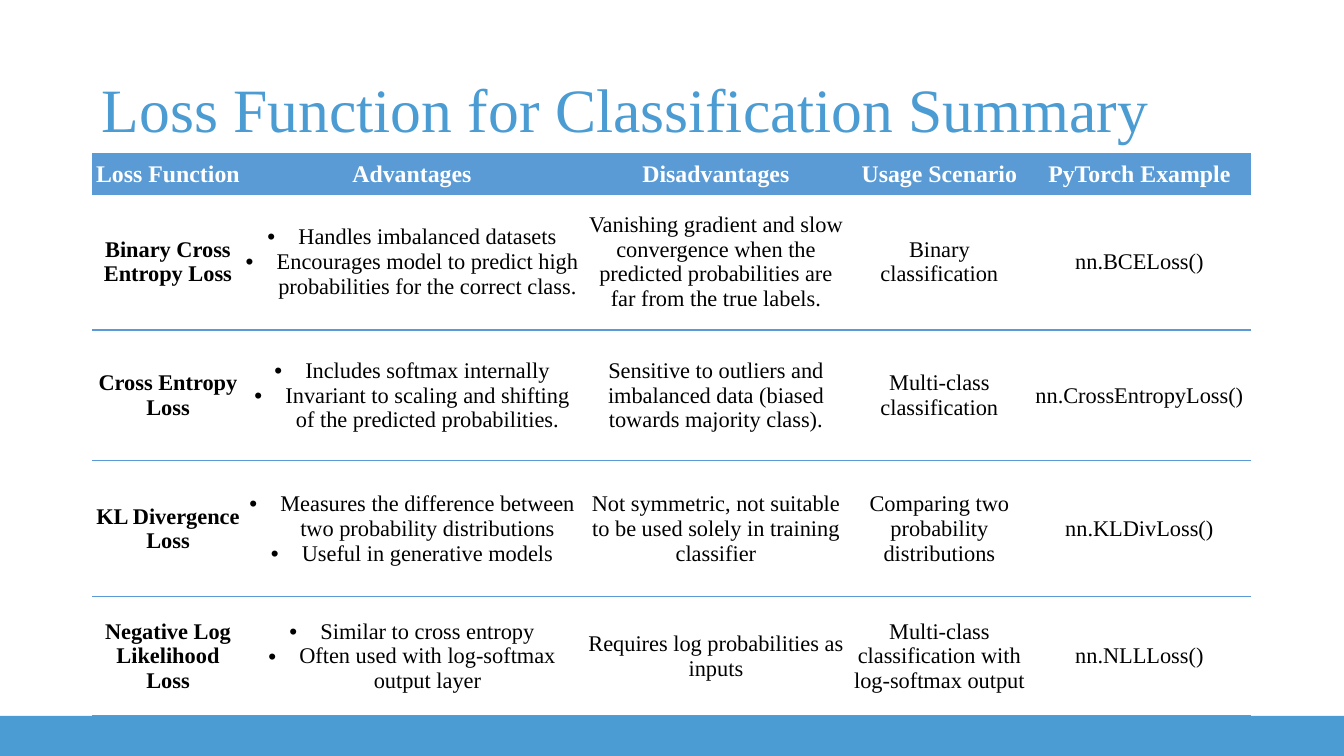
import pptx
import pptx.util
import pptx.dml.color
import pptx.enum.shapes
import pptx.enum.text
import pptx.oxml
import pptx.oxml.ns

SCALE = 914400 / 100.8
FACE = "Times New Roman"
HUES = {"bar": "4B9CD3", "head": "5B9BD5", "text": "000000", "page": "FFFFFF"}
WIDTHS = [152, 341, 266, 181, 219]
HEIGHTS = [40, 136, 131, 136, 119]
# Left, top, right and bottom margins of each column
PADS = [(4, 2, 4, 2), (0, 5, 5, 5)] + [(0, 2, 4, 2)] * 3
SIDES = ("margin_left", "margin_top", "margin_right", "margin_bottom")
HEAD = ["Loss Function", "Advantages", "Disadvantages", "Usage Scenario",
        "PyTorch Example"]
# A list in a cell is shown as bullets
BODY = [
    ["Binary Cross Entropy Loss",
     ["Handles imbalanced datasets",
      "Encourages model to predict high probabilities for the correct class."],
     "Vanishing gradient and slow convergence when the predicted "
     "probabilities are far from the true labels.",
     "Binary classification", "nn.BCELoss()"],
    ["Cross Entropy Loss",
     ["Includes softmax internally",
      "Invariant to scaling and shifting of the predicted probabilities."],
     "Sensitive to outliers and imbalanced data (biased towards majority class).",
     "Multi-class classification", "nn.CrossEntropyLoss()"],
    ["KL Divergence Loss",
     ["Measures the difference between two probability distributions",
      "Useful in generative models"],
     "Not symmetric, not suitable to be used solely in training classifier",
     "Comparing two probability distributions", "nn.KLDivLoss()"],
    ["Negative Log Likelihood Loss",
     ["Similar to cross entropy", "Often used with log-softmax output layer"],
     "Requires log probabilities as inputs",
     "Multi-class classification with log-softmax output", "nn.NLLLoss()"],
]


def px(num):
    return pptx.util.Emu(round(num * SCALE))


def hue(name):
    return pptx.dml.color.RGBColor.from_string(HUES[name])


def style(item, form):
    for key, value in form.items():
        setattr(item, key, value)


def write(par, text, size, tint, bold=False):
    run = par.add_run()
    run.text = text
    style(run.font, {"name": FACE, "size": pptx.util.Pt(size), "bold": bold})
    run.font.color.rgb = hue(tint)


def add_node(parent, xml, index=None):
    node = pptx.oxml.parse_xml(xml.replace(
        " ", f" {pptx.oxml.ns.nsdecls('a')} ", 1))
    parent.insert(len(parent) if index is None else index, node)


def add_bar(slide, box):
    bar = slide.shapes.add_shape(
        pptx.enum.shapes.MSO_SHAPE.RECTANGLE, *map(px, box))
    bar.shadow.inherit = False
    bar.fill.solid()
    bar.fill.fore_color.rgb = hue("bar")
    bar.line.fill.background()


def add_title(slide, box, text):
    frame = slide.shapes.add_textbox(*map(px, box)).text_frame
    style(frame, {"word_wrap": True,
                  "vertical_anchor": pptx.enum.text.MSO_ANCHOR.MIDDLE})
    par = frame.paragraphs[0]
    par.line_spacing = 0.9
    write(par, text, 44, "bar")


def rule_cell(cell):
    # Lines above and below, none at the sides
    props = cell._tc.get_or_add_tcPr()
    line = f'<a:solidFill><a:srgbClr val="{HUES["head"]}"/></a:solidFill>'
    parts = {"L": "<a:noFill/>", "R": "<a:noFill/>", "T": line, "B": line}
    for index, (side, paint) in enumerate(parts.items()):
        add_node(props, f'<a:ln{side} w="12700">{paint}</a:ln{side}>', index)


def fill_cell(cell, value, pads, size, tint, back, bold):
    style(cell, dict(zip(SIDES, map(px, pads))))
    cell.vertical_anchor = pptx.enum.text.MSO_ANCHOR.MIDDLE
    cell.fill.solid()
    cell.fill.fore_color.rgb = hue(back)
    rule_cell(cell)
    frame = cell.text_frame
    listed = isinstance(value, list)
    for index, text in enumerate(value if listed else [value]):
        par = frame.add_paragraph() if index else frame.paragraphs[0]
        par.alignment = pptx.enum.text.PP_ALIGN.CENTER
        if listed:
            props = par._p.get_or_add_pPr()
            props.set("marL", str(px(31)))
            props.set("indent", str(px(-31)))
            add_node(props, '<a:buFont typeface="Arial"/>')
            add_node(props, '<a:buChar char="•"/>')
        write(par, text, size, tint, bold)


def add_grid(slide, left, top):
    table = slide.shapes.add_table(
        len(HEIGHTS), len(WIDTHS), px(left), px(top),
        px(sum(WIDTHS)), px(sum(HEIGHTS))).table
    style(table, {"first_row": False, "horz_banding": False})
    for col, width in zip(table.columns, WIDTHS):
        col.width = px(width)
    for row, height in zip(table.rows, HEIGHTS):
        row.height = px(height)
    for r, values in enumerate([HEAD] + BODY):
        look = (16, "text", "page") if r else (17, "page", "head")
        for c, value in enumerate(values):
            fill_cell(table.cell(r, c), value, PADS[c], *look,
                      bold=r == 0 or c == 0)


def main():
    deck = pptx.Presentation()
    style(deck, {"slide_width": px(1344), "slide_height": px(756)})
    slide = deck.slides.add_slide(deck.slide_layouts[6])
    add_bar(slide, (0, 716, 1344, 40))
    add_title(slide, (92, 40, 1159, 146),
              "Loss Function for Classification Summary")
    add_grid(slide, 92, 154)
    deck.save("out.pptx")


if __name__ == "__main__":
    main()
